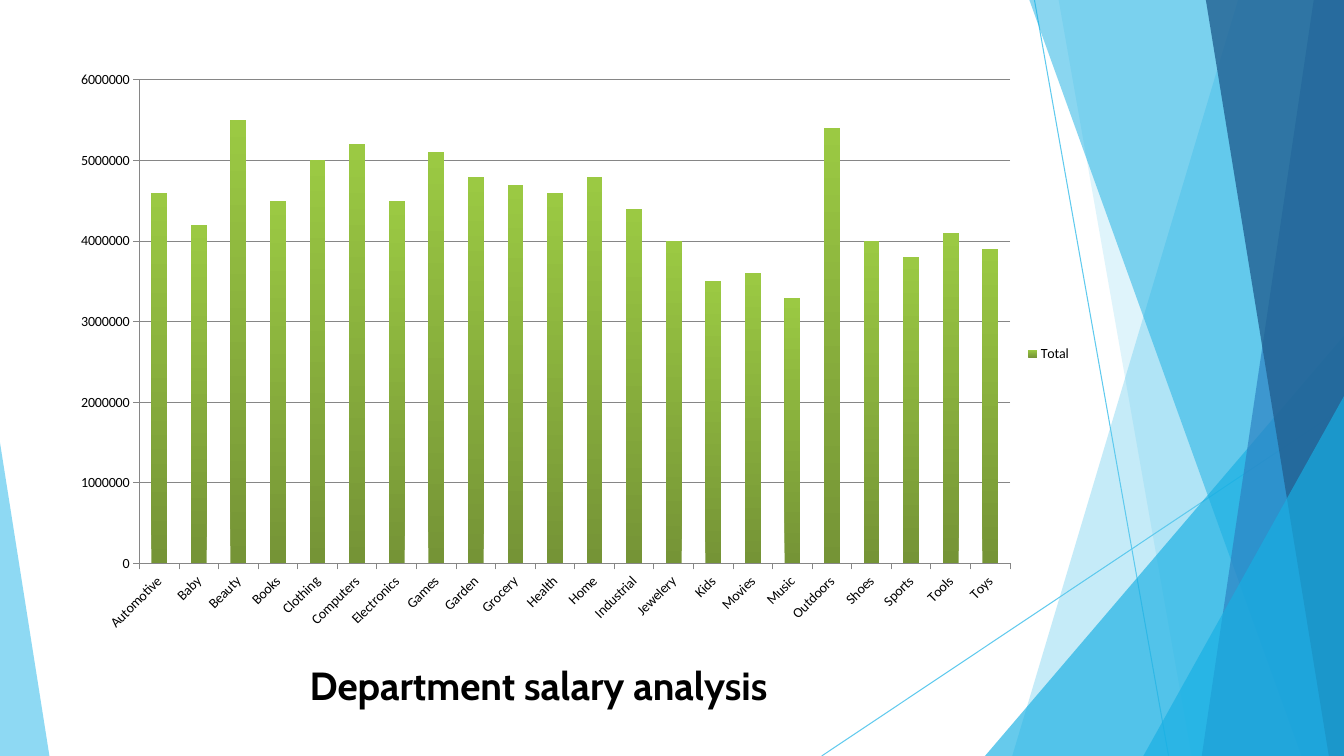
from dataclasses import dataclass

from lxml.etree import SubElement
from pptx import Presentation
from pptx.chart.data import CategoryChartData
from pptx.dml.color import RGBColor
from pptx.enum.chart import XL_CHART_TYPE, XL_LEGEND_POSITION, XL_TICK_MARK
from pptx.enum.shapes import MSO_CONNECTOR
from pptx.enum.text import MSO_ANCHOR, PP_ALIGN
from pptx.oxml import parse_xml
from pptx.oxml.ns import nsdecls, qn
from pptx.util import Inches, Pt


@dataclass(frozen=True)
class Theme:
    sky: str = "5FCAEE"
    cyan: str = "17AFE3"
    blue: str = "2D83C3"
    navy: str = "226192"
    text: str = "000000"
    grid: str = "868686"
    bar_top: str = "9BC943"
    bar_foot: str = "759436"
    title_font: str = "Cabin"
    chart_font: str = "Calibri"
    title_size: int = 28
    chart_size: int = 10
    hairline: float = 0.75


def rgb(code):
    return RGBColor.from_string(code)


def style_font(font, name, size, color, bold=False):
    font.name, font.size, font.bold = name, Pt(size), bold
    font.color.rgb = rgb(color)


def write_text(frame, text, align=PP_ALIGN.LEFT, **font_format):
    paragraph = frame.paragraphs[0]
    paragraph.alignment = align
    run = paragraph.add_run()
    run.text = text
    style_font(run.font, **font_format)


class SlideBuilder:
    """Places elements by percent of the slide's width and height."""

    def __init__(self, deck, theme):
        self.theme = theme
        self.width, self.height = deck.slide_width, deck.slide_height
        self.slide = deck.slides.add_slide(deck.slide_layouts[6])

    def at(self, x, y):
        return round(self.width * x / 100), round(self.height * y / 100)

    def line(self, start, end, color):
        connector = self.slide.shapes.add_connector(
            MSO_CONNECTOR.STRAIGHT, *self.at(*start), *self.at(*end))
        connector.line.color.rgb = rgb(color)
        connector.line.width = Pt(self.theme.hairline)
        SubElement(connector._element.spPr, qn("a:effectLst"))

    def facet(self, points, color, opacity):
        first, *rest = [self.at(*point) for point in points]
        outline = self.slide.shapes.build_freeform(*first)
        outline.add_line_segments(rest, close=True)
        facet = outline.convert_to_shape()
        facet.shadow.inherit = False
        facet.fill.solid()
        facet.fill.fore_color.rgb = rgb(color)
        facet.line.fill.background()
        tint = facet._element.spPr.find(qn("a:solidFill"))[0]
        SubElement(tint, qn("a:alpha"), val=str(opacity * 1000))

    def text(self, text, x, y, width, height, **text_format):
        box = self.slide.shapes.add_textbox(*self.at(x, y), *self.at(width, height))
        frame = box.text_frame
        frame.word_wrap = True
        frame.vertical_anchor = MSO_ANCHOR.TOP
        frame.margin_left = frame.margin_right = 0
        frame.margin_top = frame.margin_bottom = 0
        write_text(frame, text, **text_format)

    def column_chart(self, name, values, x, y, width, height, plot_area):
        theme = self.theme
        data = CategoryChartData(number_format="General")
        data.categories = list(values)
        data.add_series(name, list(values.values()))
        chart = self.slide.shapes.add_chart(
            XL_CHART_TYPE.COLUMN_CLUSTERED, *self.at(x, y),
            *self.at(width, height), data).chart
        style_font(chart.font, theme.chart_font, theme.chart_size, theme.text)
        chart.has_title = False
        chart.has_legend = True
        chart.legend.position = XL_LEGEND_POSITION.RIGHT
        chart.legend.include_in_layout = False

        # Columns shaded from foot to top
        plot = chart.plots[0]
        plot.gap_width, plot.vary_by_categories = 150, False
        fill = plot.series[0].format.fill
        fill.gradient()
        fill.gradient_angle = 90
        for stop, color in zip(fill.gradient_stops, (theme.bar_foot, theme.bar_top)):
            stop.color.rgb = rgb(color)

        # Axes and gridlines
        departments, amounts = chart.category_axis, chart.value_axis
        amounts.minimum_scale, amounts.maximum_scale = 0, 6000000
        amounts.major_unit = 1000000
        amounts.has_major_gridlines = True
        for axis in (departments, amounts):
            axis.major_tick_mark = XL_TICK_MARK.OUTSIDE
            style_font(axis.tick_labels.font, theme.chart_font,
                       theme.chart_size, theme.text)
        for part in (departments, amounts, amounts.major_gridlines):
            part.format.line.color.rgb = rgb(theme.grid)
            part.format.line.width = Pt(theme.hairline)
        slant = departments._element.find(qn("c:txPr")).find(qn("a:bodyPr"))
        slant.set("rot", "-2700000")
        slant.set("vert", "horz")

        # Fixed inner plot area, as shares of the chart
        area = chart._chartSpace.chart.plotArea
        for old in area.findall(qn("c:layout")):
            area.remove(old)
        modes = '<c:xMode val="edge"/><c:yMode val="edge"/>'
        shares = "".join(f'<c:{key} val="{share}"/>'
                         for key, share in zip("xywh", plot_area))
        area.insert(0, parse_xml(
            f'<c:layout {nsdecls("c")}><c:manualLayout>'
            f'<c:layoutTarget val="inner"/>{modes}{shares}'
            '</c:manualLayout></c:layout>'))


SALARIES = {
    "Automotive": 4600000, "Baby": 4200000, "Beauty": 5500000,
    "Books": 4500000, "Clothing": 5000000, "Computers": 5200000,
    "Electronics": 4500000, "Games": 5100000, "Garden": 4800000,
    "Grocery": 4700000, "Health": 4600000, "Home": 4800000,
    "Industrial": 4400000, "Jewelery": 4000000, "Kids": 3500000,
    "Movies": 3600000, "Music": 3300000, "Outdoors": 5400000,
    "Shoes": 4000000, "Sports": 3800000, "Tools": 4100000, "Toys": 3900000,
}


def main():
    theme = Theme()
    deck = Presentation()
    deck.slide_width, deck.slide_height = Inches(13.33), Inches(7.5)
    page = SlideBuilder(deck, theme)

    # Thin crossing lines
    page.line((76.97, 0), (86.95, 100), theme.sky)
    page.line((100, 53.87), (61.14, 100), theme.sky)

    # Facets on the right edge: top x, foot x, colour, opacity
    bands = [
        (92.12, 75.32, theme.sky, 36),
        (78.77, 88.67, theme.sky, 20),
        (73.29, 44.4, theme.cyan, 66),
        (76.59, 96.85, theme.cyan, 50),
        (97.75, 89.42, theme.blue, 70),
        (89.72, 98.87, theme.navy, 80),
        (85.07, 52.4, theme.cyan, 66),
    ]
    wedges = (2, 6)  # these give foot x and peak y instead
    for index, (first, second, color, opacity) in enumerate(bands):
        if index in wedges:
            points = [(100, second), (first, 100), (100, 100)]
        else:
            points = [(100, 0), (first, 0), (second, 100), (100, 100)]
        page.facet(points, color, opacity)

    # Facet in the lower left corner
    page.facet([(0, 58.53), (0, 100), (3.68, 100)], theme.sky, 70)

    # Title and salary chart
    page.text("Department salary analysis", 23.03, 87.47, 37.36, 6.93,
              name=theme.title_font, size=theme.title_size,
              color=theme.text, bold=True)
    page.column_chart("Total", SALARIES, 4.28, 8.27, 76.22, 77.07,
                      plot_area=(0.08, 0.03, 0.85, 0.83))

    deck.save("out.pptx")


if __name__ == "__main__":
    main()
